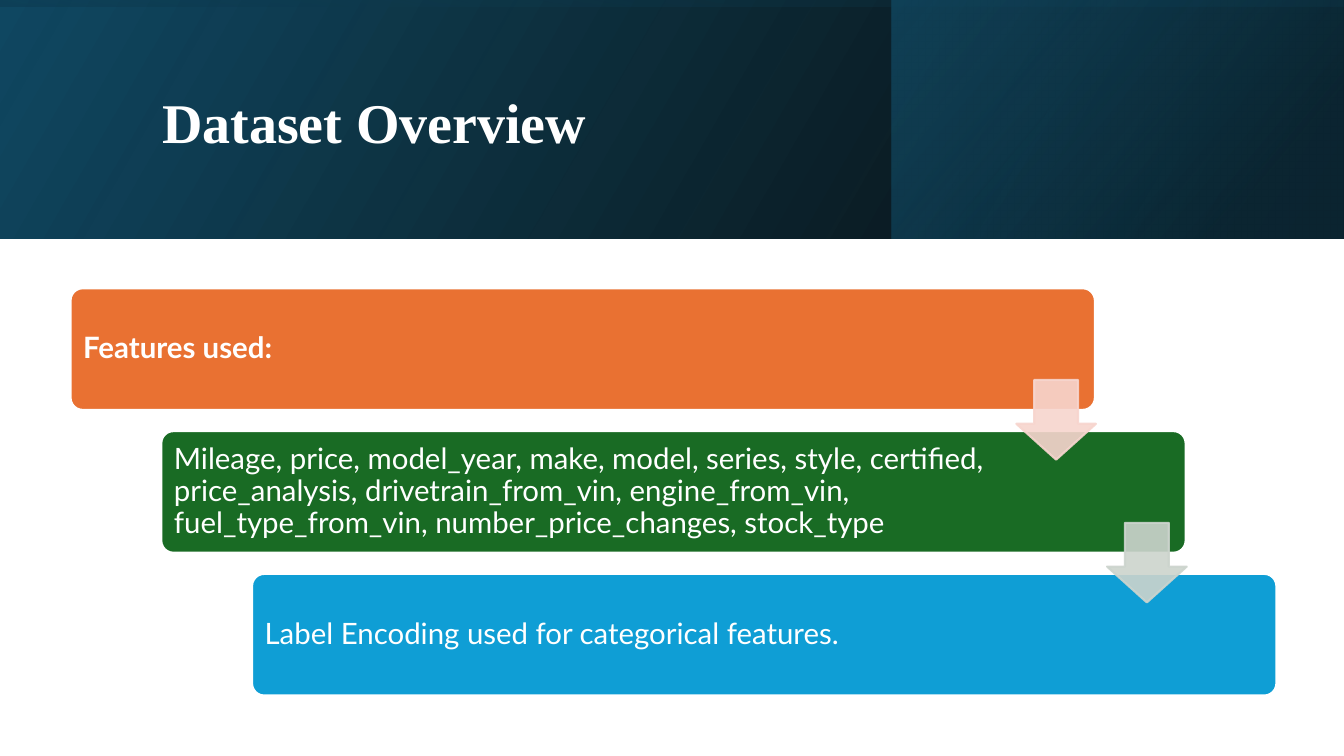
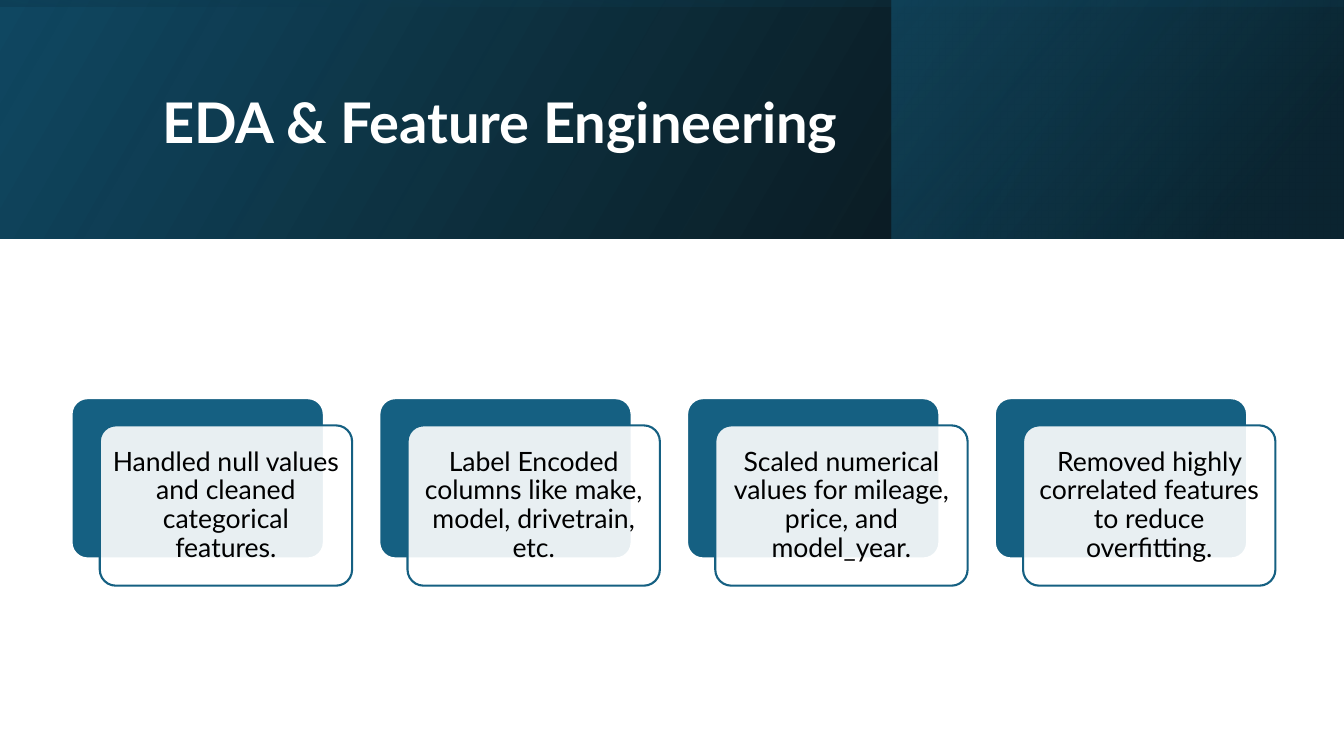
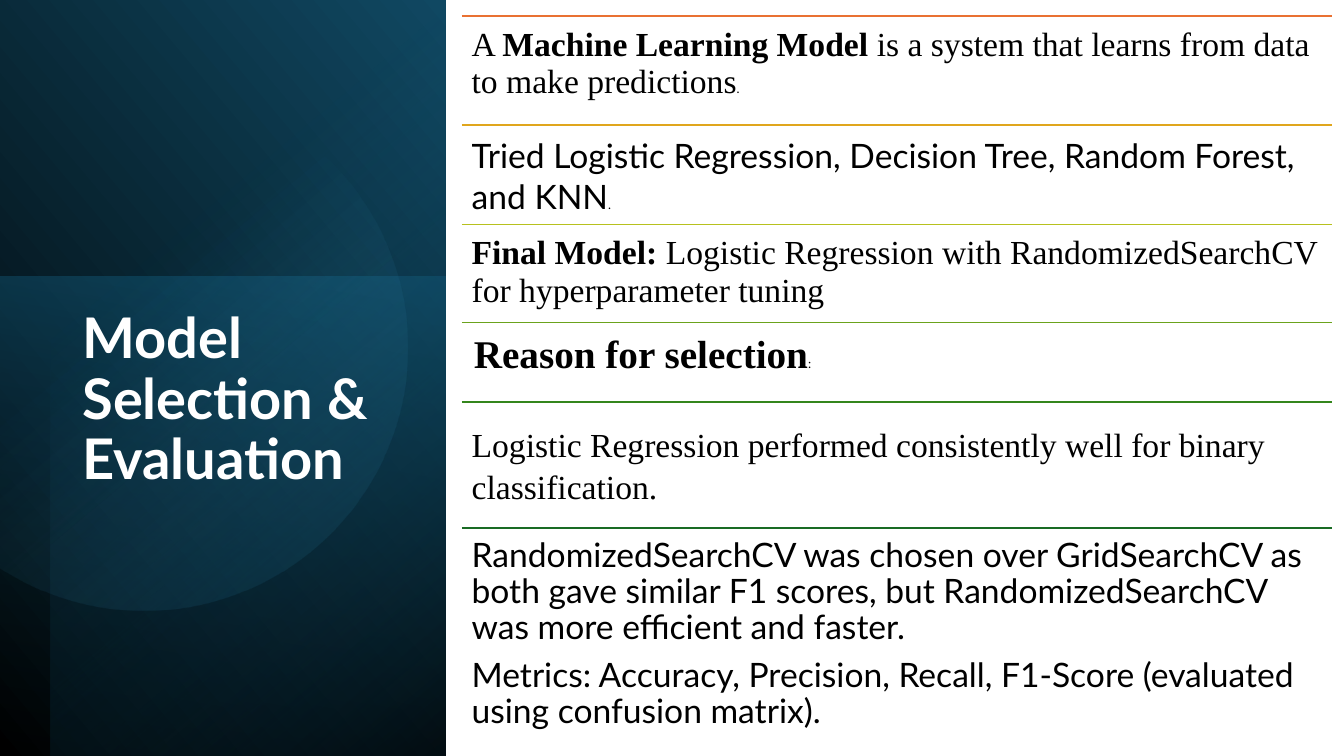
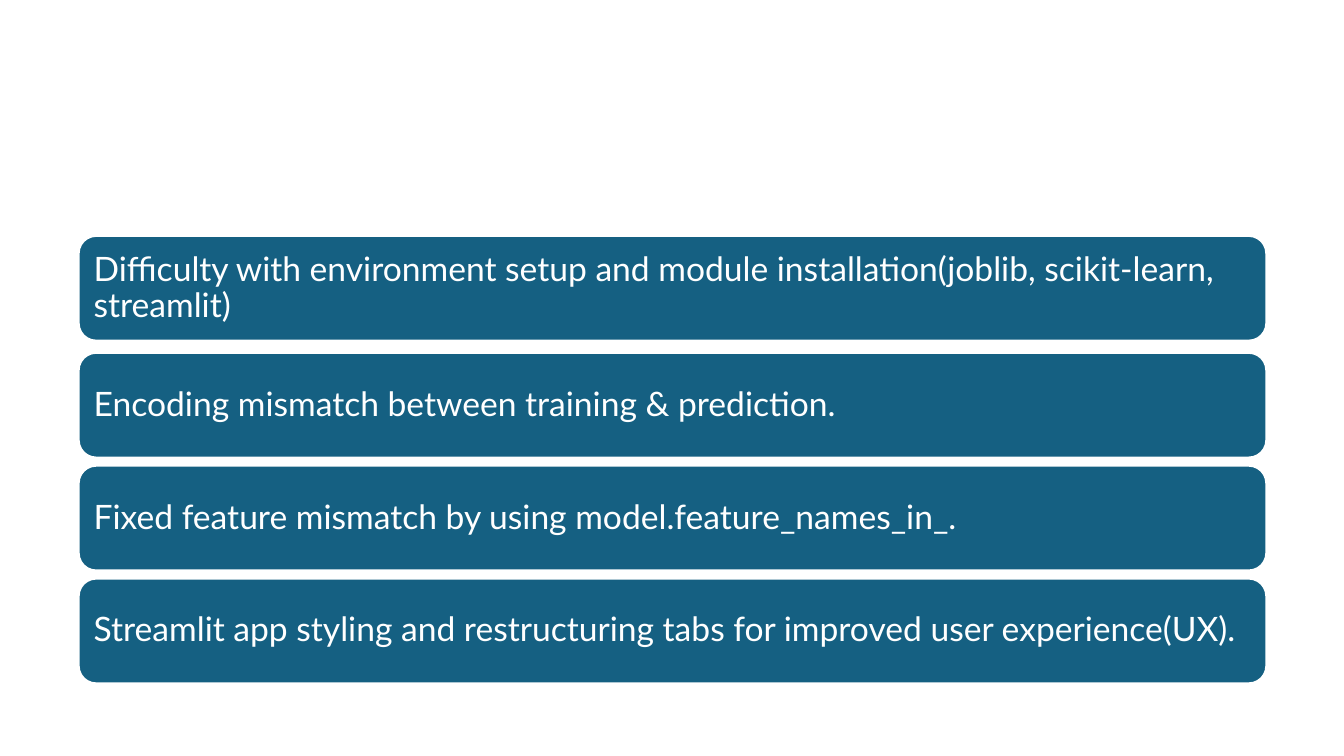
from dataclasses import dataclass
from math import acos, cos, sin

from lxml.etree import SubElement
from pptx import Presentation
from pptx.dml.color import RGBColor
from pptx.enum.shapes import MSO_CONNECTOR as Link, MSO_SHAPE as Kind
from pptx.enum.text import MSO_ANCHOR as Anchor, PP_ALIGN as Align
from pptx.oxml.ns import qn
from pptx.util import Inches, Pt


@dataclass(frozen=True)
class Theme:
    """Colours, fonts and type sizes shared by the slides."""
    sans: str = "Lato"
    serif: str = "Times New Roman"
    white: str = "FFFFFF"
    black: str = "000000"
    teal: str = "156082"
    navy: str = "104862"
    deep: str = "0B3041"
    glow: str = "46B1E1"
    steps: tuple = ("E97132", "196B24", "0F9ED5")
    arrows: tuple = ("F7D5CE", "CCD4CD")
    rules: tuple = ("E97132", "E0A61D", "B7C11E", "6BA31D", "34861C", "196B24")
    title: int = 40
    head: int = 28
    body: int = 24
    step: int = 21
    card: int = 19
    tiny: int = 9


T = Theme()


@dataclass(frozen=True)
class Box:
    """A rectangle on a grid of one-inch cells."""
    x: float
    y: float
    w: float
    h: float

    def rows(self, n, gap):
        """Split into n equal rows."""
        h = (self.h - gap * (n - 1)) / n
        return [Box(self.x, self.y + i * (h + gap), self.w, h) for i in range(n)]

    def cols(self, n, gap):
        """Split into n equal columns."""
        w = (self.w - gap * (n - 1)) / n
        return [Box(self.x + i * (w + gap), self.y, w, self.h) for i in range(n)]

    def inches(self):
        """Return the four lengths for a new shape."""
        return [Inches(v) for v in (self.x, self.y, self.w, self.h)]


PAGE = Box(0, 0, 13.33, 7.5)


def rgb(code):
    """Turn a hex code into a colour."""
    return RGBColor.from_string(code)


def fade(shape, alphas):
    """Set the opacity of each colour of a shape, in order."""
    for clr, alpha in zip(shape._element.spPr.iter(qn("a:srgbClr")), alphas):
        SubElement(clr, qn("a:alpha"), val=str(alpha * 1000))


def write(shape, paras, size=T.body, font=T.sans, color=T.black, bold=False,
          align=Align.LEFT, anchor=Anchor.TOP, inset=(0.1, 0.1, 0.1, 0.1), lead=0.9):
    """Write paragraphs, each a string or a list of (text, overrides) runs."""
    frame = shape.text_frame
    frame.word_wrap = True
    frame.vertical_anchor = anchor
    (frame.margin_left, frame.margin_top, frame.margin_right,
     frame.margin_bottom) = [Inches(v) for v in inset]
    for i, para in enumerate(paras):
        p = frame.add_paragraph() if i else frame.paragraphs[0]
        p.alignment, p.line_spacing, p.space_after = align, lead, Pt(8)
        for words, own in [(para, {})] if isinstance(para, str) else para:
            run = p.add_run()
            run.text = words
            run.font.name = own.get("font", font)
            run.font.size = Pt(own.get("size", size))
            run.font.bold = own.get("bold", bold)
            run.font.color.rgb = rgb(own.get("color", color))


def label(slide, box, paras, **form):
    """Add a text box."""
    write(slide.shapes.add_textbox(*box.inches()), paras, **form)


def block(slide, kind, box, fill, line, adjust=(), alpha=None):
    """Add a preset shape with a plain fill and an outline."""
    shape = slide.shapes.add_shape(kind, *box.inches())
    shape.shadow.inherit = False
    shape.fill.solid()
    shape.fill.fore_color.rgb = rgb(fill)
    shape.line.color.rgb = rgb(line)
    shape.line.width = Pt(1.5)
    for i, value in enumerate(adjust):
        shape.adjustments[i] = value
    if alpha:
        fade(shape, alpha)
    return shape


def blend(shape, stops, angle):
    """Give a shape a two-stop gradient of (place, colour, opacity)."""
    shape.shadow.inherit = False
    shape.line.fill.background()
    shape.fill.gradient()
    shape.fill.gradient_angle = 360 - angle
    for stop, (place, color, _) in zip(shape.fill.gradient_stops, stops):
        stop.position = place / 100
        stop.color.rgb = rgb(color)
    fade(shape, [alpha for _, _, alpha in stops])


def panel(slide, box, stops, angle, turn=0, flip=True):
    """Add a gradient panel that covers the box after its turn."""
    w, h = (box.h, box.w) if turn % 180 else (box.w, box.h)
    place = Box(box.x + (box.w - w) / 2, box.y + (box.h - h) / 2, w, h)
    shape = slide.shapes.add_shape(Kind.RECTANGLE, *place.inches())
    shape.rotation = turn
    if flip:
        shape._element.spPr.find(qn("a:xfrm")).set("flipH", "1")
    blend(shape, stops, angle)


def band(slide, box, title, font):
    """Draw the top band with its title."""
    side = Box(box.x + 8.84, box.y, 4.48, box.h)
    panel(slide, box, [(0, T.black, 96), (100, T.navy, 100)], 330)
    panel(slide, side, [(19, T.deep, 68), (100, T.teal, 48)], 320)
    panel(slide, box, [(23, T.navy, 16), (99, T.black, 45)], 350, turn=270)
    label(slide, Box(box.x + 1.51, box.y + 0.38, 10.63, 1.72), [title], font=font,
          size=T.title, color=T.white, bold=True, anchor=Anchor.MIDDLE,
          inset=(0.1, 0.05, 0.1, 0.05))


def stairs(slide, box, texts):
    """Draw steps that move right, joined by block arrows."""
    shift = 0.9
    width = box.w - shift * (len(texts) - 1)
    steps = [Box(row.x + i * shift, row.y, width, row.h)
             for i, row in enumerate(box.rows(len(texts), 0.21))]
    for i, (step, words) in enumerate(zip(steps, texts)):
        shape = block(slide, Kind.ROUNDED_RECTANGLE, step, T.steps[i], T.white, [0.1])
        write(shape, [words], size=T.step, color=T.white, bold=i == 0,
              anchor=Anchor.MIDDLE, inset=(0.09, 0.09, 1.77, 0.09))
    for step, color in zip(steps, T.arrows):
        block(slide, Kind.DOWN_ARROW, Box(step.x + 9.38, step.y + 0.91, 0.79, 0.79),
              color, color, [0.55, 0.45], [90, 90])


def cards(slide, box, texts):
    """Draw a row of cards, each in front of a teal plate."""
    dx, dy = 0.28, 0.27
    for cell, words in zip(box.cols(len(texts), 0.27), texts):
        w, h = cell.w - dx, cell.h - dy
        block(slide, Kind.ROUNDED_RECTANGLE, Box(cell.x, cell.y, w, h),
              T.teal, T.white, [0.1])
        front = block(slide, Kind.ROUNDED_RECTANGLE, Box(cell.x + dx, cell.y + dy, w, h),
                      T.white, T.teal, [0.1], [90])
        write(front, [words], size=T.card, align=Align.CENTER, anchor=Anchor.MIDDLE,
              inset=[0.08] * 4)


def disc(slide, x, y, r):
    """Draw a circle cut off by the left edge of the slide."""
    end, count = acos(-x / r), 120
    turns = [end * (2 * i / count - 1) for i in range(count + 1)]
    dots = [(Inches(x + r * cos(t)), Inches(y + r * sin(t))) for t in turns]
    pen = slide.shapes.build_freeform(*dots[0])
    pen.add_line_segments(dots[1:], close=True)
    blend(pen.convert_to_shape(), [(39, T.glow, 0), (100, T.navy, 26)], 50)


def sidebar(slide, box, title):
    """Draw the left panel with its title."""
    low = Box(box.x, 2.74, box.w, box.h - 2.74)
    inner = Box(box.x + 0.5, box.y, box.w - 0.5, box.h)
    panel(slide, box, [(0, T.black, 100), (100, T.navy, 100)], 310, turn=90)
    panel(slide, low, [(0, T.teal, 50), (100, T.deep, 0)], 190, turn=270, flip=False)
    panel(slide, inner, [(0, T.black, 59), (69, T.teal, 0)], 220, turn=270)
    disc(slide, 1.43, 3.45, 2.61)
    label(slide, Box(box.x + 0.72, box.y + 3.03, 3.15, 3.36), [title], size=T.title,
          color=T.white, bold=True, inset=(0.1, 0.05, 0.1, 0.05))


def ruled(slide, box, items):
    """Draw text rows, each under a coloured rule."""
    tops = [top for top, *_ in items] + [box.h]
    for i, (top, drop, paras, form) in enumerate(items):
        y = box.y + top
        rule = slide.shapes.add_connector(
            Link.STRAIGHT, Inches(box.x), Inches(y), Inches(box.x + box.w), Inches(y))
        rule.line.color.rgb = rgb(T.rules[i])
        rule.line.width = Pt(1)
        SubElement(rule._element.spPr, qn("a:effectLst"))
        label(slide, Box(box.x, y + drop, box.w, tops[i + 1] - top - drop), paras, **form)


def bars(slide, boxes, texts):
    """Draw full-width bars with white text."""
    for box, words in zip(boxes, texts):
        shape = block(slide, Kind.ROUNDED_RECTANGLE, box, T.teal, T.white)
        write(shape, [words], color=T.white, anchor=Anchor.MIDDLE)


def main():
    """Build the deck and save it."""
    deck = Presentation()
    deck.slide_width, deck.slide_height = Inches(PAGE.w), Inches(PAGE.h)
    data, prep, model, issues = [deck.slides.add_slide(deck.slide_layouts[6])
                                 for _ in range(4)]
    top = Box(0, 0, PAGE.w, 2.37)

    band(data, top, "Dataset Overview", T.serif)
    stairs(data, Box(0.7, 2.86, 11.96, 4.04), [
        "Features used:",
        "Mileage, price, model_year, make, model, series, style, certified, "
        "price_analysis, drivetrain_from_vin, engine_from_vin, fuel_type_from_vin, "
        "number_price_changes, stock_type",
        "Label Encoding used for categorical features."])

    band(prep, top, "EDA & Feature Engineering", T.sans)
    cards(prep, Box(0.71, 3.95, 11.94, 1.86), [
        "Handled null values and cleaned categorical features.",
        "Label Encoded columns like make, model, drivetrain, etc.",
        "Scaled numerical values for mileage, price, and model_year.",
        "Removed highly correlated features to reduce overfitting."])

    sidebar(model, Box(0, 0, 4.42, PAGE.h), "Model Selection & Evaluation")
    tiny = {"size": T.tiny, "font": T.sans, "bold": False}
    strong = {"bold": True}
    serif = {"font": T.serif, "lead": 0.93}
    ruled(model, Box(4.58, 0.16, 8.63, 7.17), [
        (0, 0, [[("A ", {}), ("Machine Learning Model", strong),
                 (" is a system that learns from data to make predictions", {}),
                 (".", tiny)]], serif),
        (1.08, 0, [[("Tried Logistic Regression, Decision Tree, Random Forest, and KNN", {}),
                    (".", tiny)]], {"lead": 1.0}),
        (2.07, 0, [[("Final Model: ", strong),
                    ("Logistic Regression with RandomizedSearchCV for hyperparameter tuning",
                     {})]], serif),
        (3.04, 0, [[("Reason for selection", strong), (":", tiny)]],
         {"font": T.serif, "size": T.head, "inset": [0.12] * 4}),
        (3.83, 0.09, ["Logistic Regression performed consistently well for binary "
                      "classification."], {"font": T.serif, "lead": 1.06}),
        (5.08, 0, ["RandomizedSearchCV was chosen over GridSearchCV as both gave similar "
                   "F1 scores, but RandomizedSearchCV was more efficient and faster.",
                   "Metrics: Accuracy, Precision, Recall, F1-Score (evaluated using "
                   "confusion matrix)."], {})])

    first = Box(0.78, 2.34, 11.78, 1.04)
    bars(issues, [first] + Box(first.x, 3.5, first.w, 3.28).rows(3, 0.08), [
        "Difficulty with environment setup and module installation"
        "(joblib, scikit-learn, streamlit)",
        "Encoding mismatch between training & prediction.",
        "Fixed feature mismatch by using model.feature_names_in_.",
        "Streamlit app styling and restructuring tabs for improved user experience(UX)."])

    deck.save("out.pptx")


if __name__ == "__main__":
    main()
